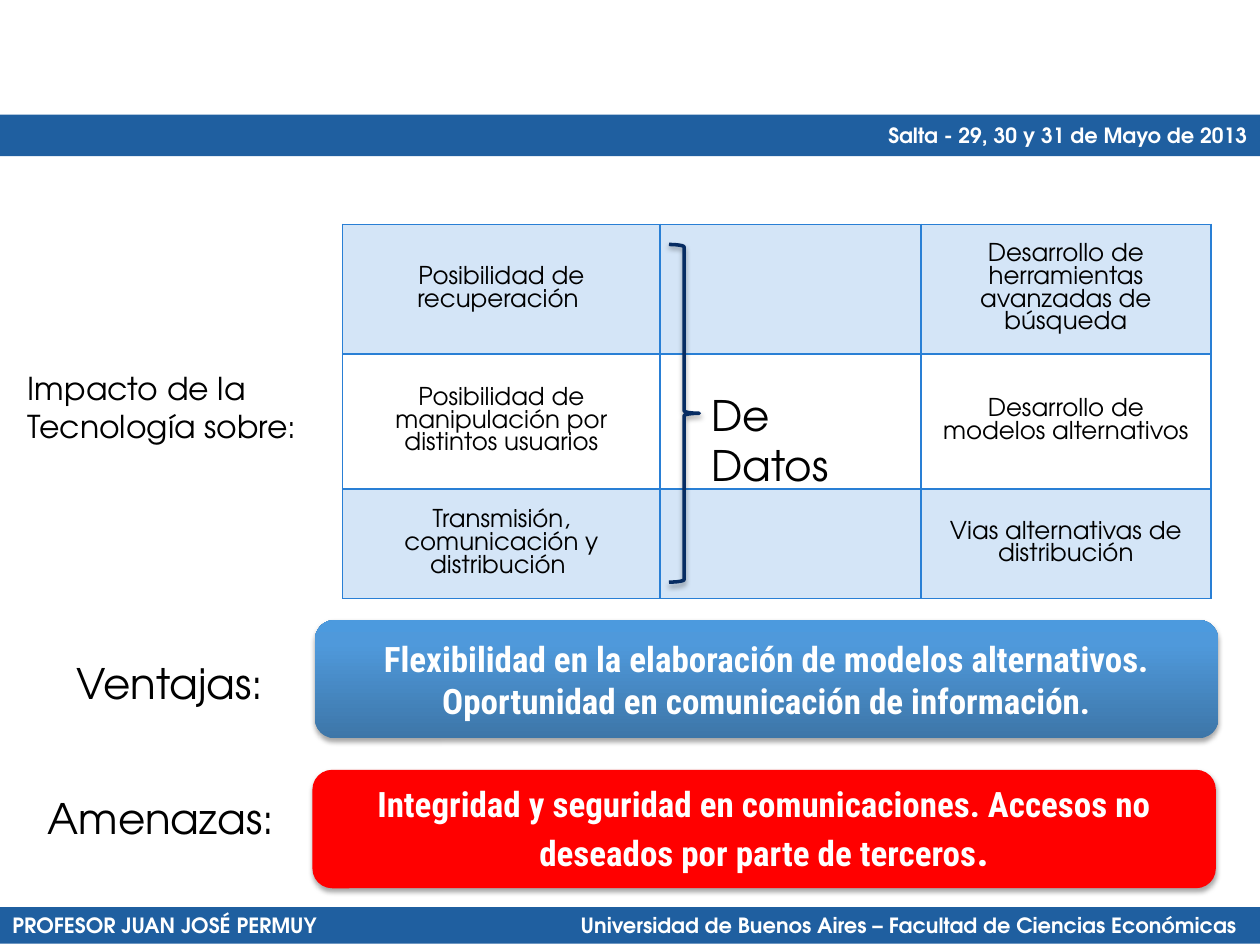
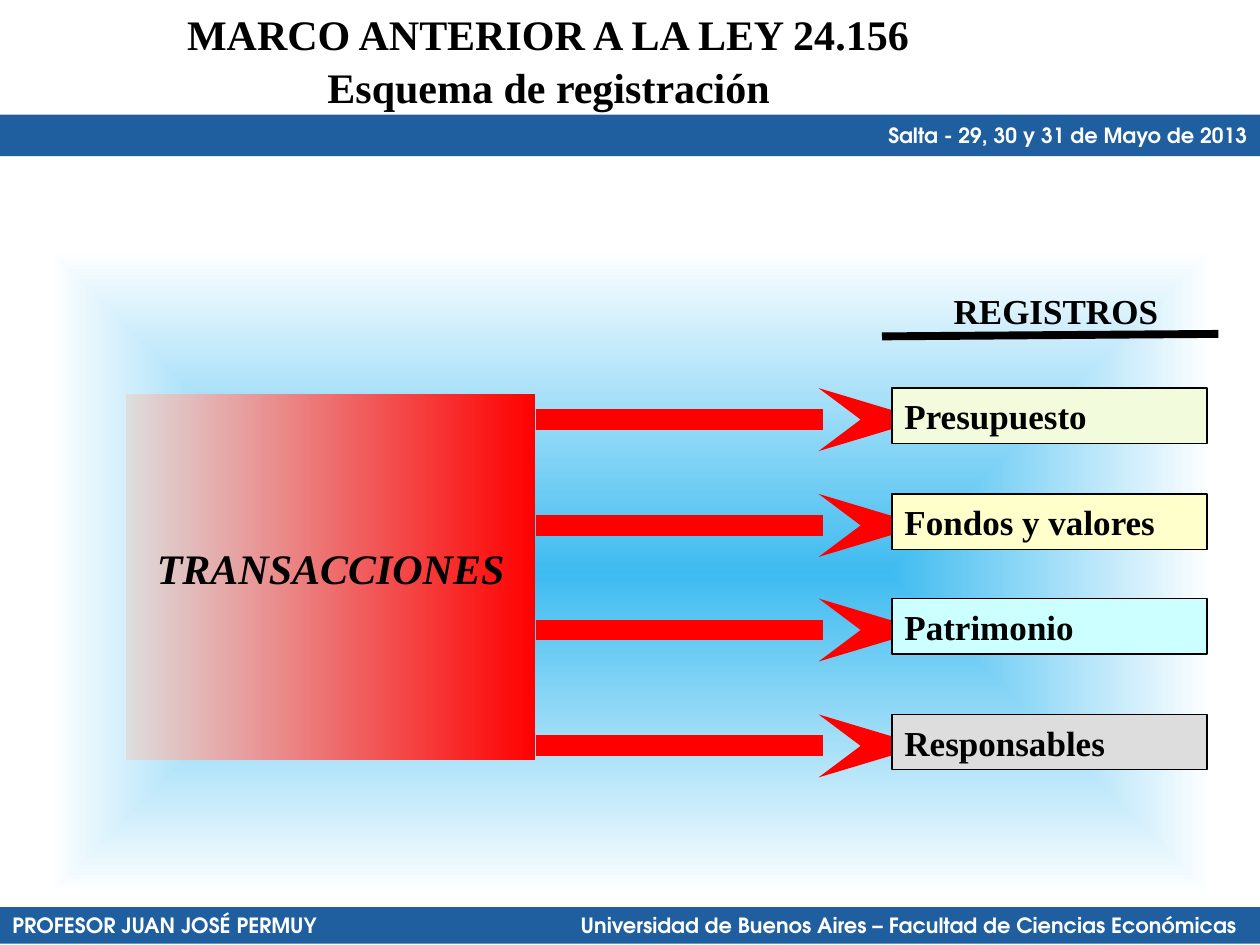
from lxml import etree
from pptx import Presentation
from pptx.dml.color import RGBColor
from pptx.enum.shapes import MSO_CONNECTOR, MSO_SHAPE
from pptx.enum.text import MSO_ANCHOR, PP_ALIGN
from pptx.oxml import parse_xml
from pptx.oxml.ns import nsdecls, qn
from pptx.util import Inches, Pt

COLORS = {
    "band": "1F5FA0", "white": "FFFFFF", "black": "000000", "red": "FF0000",
    "border": "297FD5", "row": "D4E5F7", "brace": "072C62",
    "blue_dark": "3D76A8", "blue_mid": "4F99DB", "blue_light": "4C9ADE",
    "sky": "3EBBF0", "mist": "FDFEFF", "grey": "DDDDDD",
    "lime": "F3FBDD", "cream": "FFFFCC", "aqua": "CCFFFF",
}
ADVENTOR, ROBOTO, TIMES = "TeX Gyre Adventor", "Roboto Condensed", "Times New Roman"
LEFT, CENTER, RIGHT = PP_ALIGN.LEFT, PP_ALIGN.CENTER, PP_ALIGN.RIGHT


def add_box(slide, box, fill=None, line=None, line_width=0.75, kind=MSO_SHAPE.RECTANGLE,
            direction="", shadow=False):
    """Add a preset shape; fill is a color name or a list of gradient stops."""
    shape = slide.shapes.add_shape(kind, *(Inches(value) for value in box))
    shape.shadow.inherit = False
    if fill is None:
        shape.fill.background()
    else:
        shape.fill.solid()
        if isinstance(fill, str):
            shape.fill.fore_color.rgb = RGBColor.from_string(COLORS[fill])
        else:
            stops = "".join(
                f'<a:gs pos="{position * 1000}"><a:srgbClr val="{COLORS[name]}"/></a:gs>'
                for position, name in fill)
            gradient = parse_xml(f'<a:gradFill {nsdecls("a")} rotWithShape="1">'
                                 f'<a:gsLst>{stops}</a:gsLst>{direction}</a:gradFill>')
            properties = shape.element.spPr
            properties.replace(properties.find(qn("a:solidFill")), gradient)
    if line is None:
        shape.line.fill.background()
    else:
        shape.line.color.rgb = RGBColor.from_string(COLORS[line])
        shape.line.width = Pt(line_width)
    if shadow:
        shape.element.spPr.find(qn("a:effectLst")).append(parse_xml(
            f'<a:outerShdw {nsdecls("a")} blurRad="39370" dist="22860" dir="5400000" '
            'rotWithShape="0"><a:srgbClr val="000000"><a:alpha val="35000"/></a:srgbClr>'
            '</a:outerShdw>'))
    return shape


def write(frame, text, size, font, color="black", align=LEFT, bold=False,
          anchor=MSO_ANCHOR.MIDDLE):
    """Fill a text frame with one formatted paragraph and return it."""
    frame.text = text
    frame.word_wrap = True
    frame.vertical_anchor = anchor
    paragraph = frame.paragraphs[0]
    paragraph.alignment = align
    for run in paragraph.runs:
        run.font.size = Pt(size)
        run.font.name = font
        run.font.bold = bold
        run.font.color.rgb = RGBColor.from_string(COLORS[color])
    return paragraph


presentation = Presentation()
presentation.slide_width = Inches(10)
presentation.slide_height = Inches(7.5)
blank = presentation.slide_layouts[6]
impact_slide, records_slide = [presentation.slides.add_slide(blank) for _ in range(2)]

# Bands shared by both slides
for slide in (impact_slide, records_slide):
    footer = add_box(slide, (0, 7.2, 10, 0.29), "band")
    paragraph = write(
        footer.text_frame,
        "PROFESOR JUAN JOSÉ PERMUY\tUniversidad de Buenos Aires – Facultad de Ciencias Económicas",
        12, ADVENTOR, "white", bold=True)
    tabs = etree.SubElement(paragraph._p.get_or_add_pPr(), qn("a:tabLst"))
    etree.SubElement(tabs, qn("a:tab"), pos=str(Inches(4.51)), algn="l")
    header = add_box(slide, (0, 0.91, 10, 0.33), "band")
    write(header.text_frame, "Salta - 29, 30 y 31 de Mayo de 2013",
          12, ADVENTOR, "white", RIGHT, bold=True)

# Slide 1: impact table
rows = [
    ("Posibilidad de recuperación ", "", "Desarrollo de herramientas avanzadas de búsqueda"),
    ("Posibilidad de manipulación por distintos usuarios", "",
     "Desarrollo de modelos alternativos"),
    ("Transmisión, comunicación y distribución ", "", "Vias alternativas de distribución"),
]
table = impact_slide.shapes.add_table(
    3, 3, Inches(2.72), Inches(1.78), Inches(6.89), Inches(2.97)).table
table.first_row = table.horz_banding = False
for column, width in zip(table.columns, (2.52, 2.07, 2.3)):
    column.width = Inches(width)
for row, height in zip(table.rows, (1.03, 1.07, 0.87)):
    row.height = Inches(height)
for row_index, texts in enumerate(rows):
    for column_index, text in enumerate(texts):
        cell = table.cell(row_index, column_index)
        if text:
            write(cell.text_frame, text, 14, ADVENTOR, align=CENTER)
        cell.vertical_anchor = MSO_ANCHOR.MIDDLE
        if row_index % 2 == 0:
            cell.fill.solid()
            cell.fill.fore_color.rgb = RGBColor.from_string(COLORS["row"])
        else:
            cell.fill.background()
        properties = cell._tc.get_or_add_tcPr()
        for position, side in enumerate(("lnL", "lnR", "lnT", "lnB")):
            properties.insert(position, parse_xml(
                f'<a:{side} {nsdecls("a")} w="12700"><a:solidFill>'
                f'<a:srgbClr val="{COLORS["border"]}"/></a:solidFill></a:{side}>'))

# Slide 1: labels and brace
labels = [
    ("Impacto de la Tecnología sobre:", (0.12, 2.88, 2.44, 0.71), 18),
    ("De Datos", (5.55, 3.04, 1.5, 0.9), 24),
    ("Ventajas:", (0.51, 5.17, 1.9, 0.5), 24),
    ("Amenazas:", (0.28, 6.24, 2.2, 0.5), 24),
]
for text, box, size in labels:
    label = impact_slide.shapes.add_textbox(*(Inches(value) for value in box))
    write(label.text_frame, text, size, ADVENTOR, anchor=MSO_ANCHOR.TOP)
add_box(impact_slide, (5.31, 1.94, 0.24, 2.68), line="brace", line_width=2,
        kind=MSO_SHAPE.RIGHT_BRACE, shadow=True)

# Slide 1: advantages and threats
advantages = add_box(
    impact_slide, (2.5, 4.92, 7.17, 0.94),
    [(0, "blue_dark"), (80, "blue_mid"), (100, "blue_light")],
    kind=MSO_SHAPE.ROUNDED_RECTANGLE, direction='<a:lin ang="16200000" scaled="0"/>', shadow=True)
write(advantages.text_frame,
      "Flexibilidad en la elaboración de modelos alternativos. "
      "Oportunidad en comunicación de información.",
      20, ROBOTO, "white", CENTER, bold=True)
threats = add_box(impact_slide, (2.48, 6.11, 7.17, 0.94), "red",
                  kind=MSO_SHAPE.ROUNDED_RECTANGLE, shadow=True)
paragraph = write(threats.text_frame,
                  "Integridad y seguridad en comunicaciones. "
                  "Accesos no deseados por parte de terceros",
                  20, ROBOTO, "white", CENTER, bold=True)
period = paragraph.add_run()
period.text = "."
period.font.size = Pt(24)
period.font.name = ROBOTO
period.font.bold = True
period.font.color.rgb = RGBColor.from_string(COLORS["white"])

# Slide 2: glowing background
add_box(records_slide, (0.42, 2, 9.17, 5.08), [(0, "sky"), (100, "mist")],
        direction='<a:path path="shape"><a:fillToRect l="50000" t="50000" r="50000" b="50000"/>'
                  '</a:path>')

# Slide 2: arrows and the heading rule
records = [
    ("Presupuesto", "lime", 3.08),
    ("Fondos y valores", "cream", 3.92),
    ("Patrimonio", "aqua", 4.75),
    ("Responsables", "grey", 5.67),
]
lines = [(4.25, top + 0.25, 7.33, top + 0.25, "red", 12) for _, _, top in records]
lines.append((7, 2.67, 9.67, 2.65, "black", 4.5))
for *ends, color, width in lines:
    connector = records_slide.shapes.add_connector(
        MSO_CONNECTOR.STRAIGHT, *(Inches(value) for value in ends))
    connector.line.color.rgb = RGBColor.from_string(COLORS[color])
    connector.line.width = Pt(width)
    if color == "red":
        etree.SubElement(connector.line._get_or_add_ln(), qn("a:tailEnd"),
                         type="stealth", w="med", len="lg")
    etree.SubElement(connector.element.spPr, qn("a:effectLst"))

# Slide 2: titles
titles = [
    ("MARCO ANTERIOR A LA LEY 24.156", (0.35, 0.02, 8, 0.5), 24),
    ("Esquema de registración", (0.27, 0.44, 8.17, 0.5), 24),
    ("REGISTROS", (7.17, 2.25, 2.42, 0.43), 20),
]
for text, box, size in titles:
    title = records_slide.shapes.add_textbox(*(Inches(value) for value in box))
    write(title.text_frame, text, size, TIMES, align=CENTER, bold=True, anchor=MSO_ANCHOR.TOP)

# Slide 2: record boxes and their source
for text, color, top in records:
    record = add_box(records_slide, (7.08, top, 2.5, 0.44), color, "black")
    write(record.text_frame, text, 20, TIMES, bold=True)
transactions = add_box(records_slide, (1, 3.13, 3.25, 2.9), [(0, "grey"), (100, "red")],
                       direction='<a:lin ang="0" scaled="0"/>')
paragraph = write(transactions.text_frame, "TRANSACCIONES", 24, TIMES, align=CENTER, bold=True)
paragraph.runs[0].font.italic = True
transactions.text_frame.margin_bottom = Inches(0.2)

presentation.save("out.pptx")
